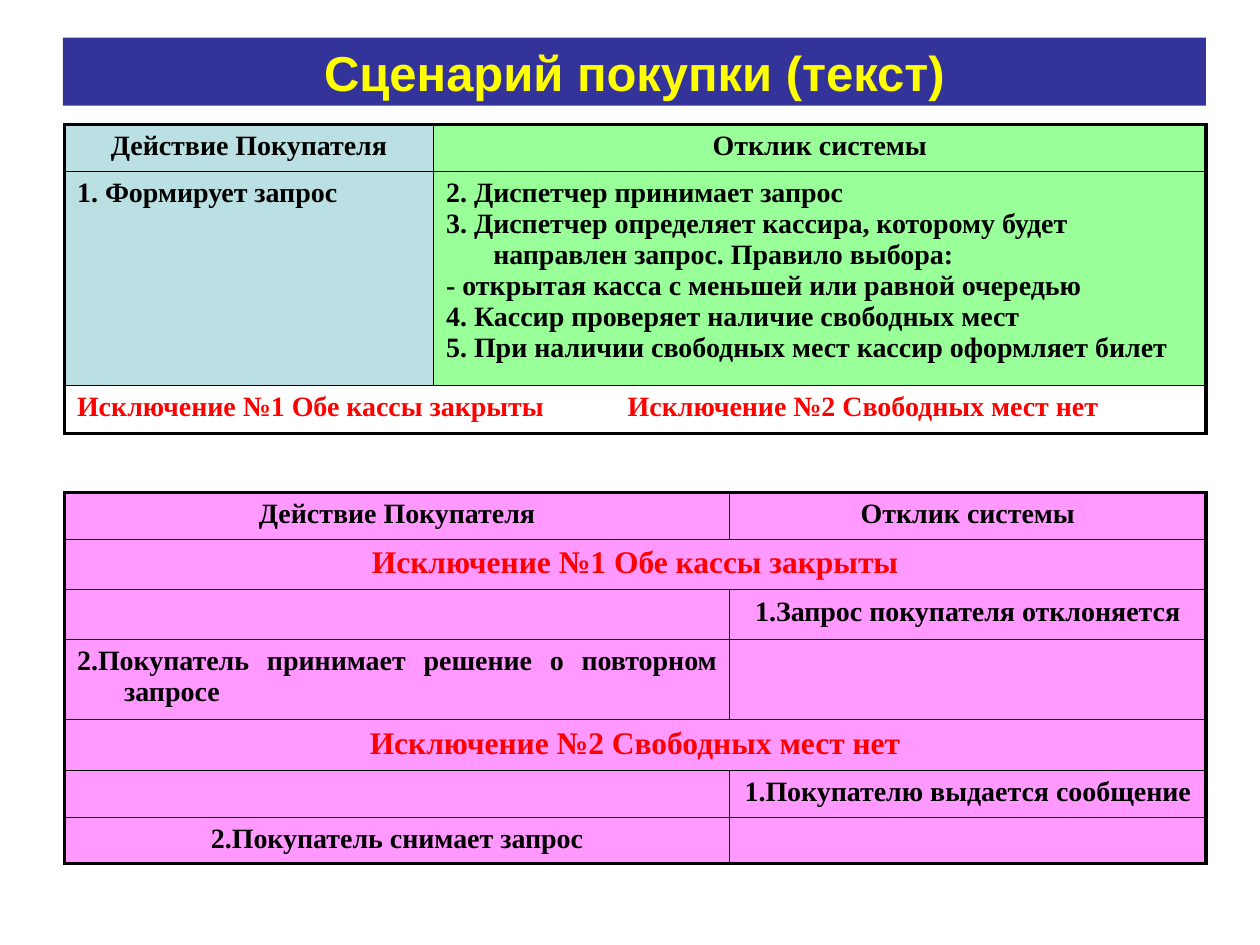
from dataclasses import dataclass

from lxml.etree import SubElement
from pptx import Presentation
from pptx.dml.color import RGBColor
from pptx.enum.shapes import MSO_SHAPE
from pptx.enum.text import MSO_ANCHOR, PP_ALIGN
from pptx.oxml.ns import qn
from pptx.util import Cm, Pt


@dataclass(frozen=True)
class Theme:
    title_font: str = "Arial"
    body_font: str = "Times New Roman"
    title_size: int = 28
    section_size: int = 18
    body_size: int = 16
    title_fill: str = "333399"
    title_text: str = "FFFF00"
    text: str = "000000"
    alert: str = "FF0000"
    border: str = "000000"
    buyer: str = "BBE0E3"
    system: str = "99FF99"
    exception: str = "FF99FF"
    outer_line: float = 2.21
    inner_line: float = 0.45


@dataclass(frozen=True)
class TextStyle:
    size: int
    color: str
    align: PP_ALIGN
    hanging: bool = False
    tab: float = 0


T = Theme()
CENTER = TextStyle(T.body_size, T.text, PP_ALIGN.CENTER)
STEP = TextStyle(T.body_size, T.text, PP_ALIGN.LEFT, hanging=True)
JUSTIFIED = TextStyle(T.body_size, T.text, PP_ALIGN.JUSTIFY, hanging=True)
ALERT = TextStyle(T.body_size, T.alert, PP_ALIGN.LEFT, tab=11.1)
SECTION = TextStyle(T.section_size, T.alert, PP_ALIGN.CENTER)
EMPTY = ("", CENTER)
HEADER = [("Действие Покупателя", CENTER), ("Отклик системы", CENTER)]


class SlideBuilder:
    def __init__(self, slide, theme):
        self.slide = slide
        self.theme = theme

    def format_run(self, r, font, size, color):
        r.font.name = font
        r.font.size = Pt(size)
        r.font.bold = True
        r.font.color.rgb = RGBColor.from_string(color)

    def title(self, text, left, top, width, height):
        t = self.theme
        sp = self.slide.shapes.add_shape(
            MSO_SHAPE.RECTANGLE, Cm(left), Cm(top), Cm(width), Cm(height))
        sp.shadow.inherit = False
        sp.fill.solid()
        sp.fill.fore_color.rgb = RGBColor.from_string(t.title_fill)
        sp.line.fill.background()
        tf = sp.text_frame
        tf.word_wrap = True
        tf.vertical_anchor = MSO_ANCHOR.MIDDLE
        tf.text = text
        p = tf.paragraphs[0]
        p.alignment = PP_ALIGN.CENTER
        self.format_run(p.runs[0], t.title_font, t.title_size, t.title_text)

    def borders(self, cell, edges):
        tcPr = cell._tc.get_or_add_tcPr()
        for side, outer in zip("LRTB", edges):
            width = self.theme.outer_line if outer else self.theme.inner_line
            ln = SubElement(tcPr, qn(f"a:ln{side}"), w=str(Pt(width)))
            fill = SubElement(ln, qn("a:solidFill"))
            SubElement(fill, qn("a:srgbClr"), val=self.theme.border)

    def cell_text(self, cell, text, style):
        cell.text_frame.text = text
        for p in cell.text_frame.paragraphs:
            p.alignment = style.align
            pPr = p._p.get_or_add_pPr()
            if style.hanging:
                pPr.set("marL", str(Cm(0.95)))
                pPr.set("indent", str(Cm(-0.95)))
            if style.tab:
                tabs = SubElement(pPr, qn("a:tabLst"))
                SubElement(tabs, qn("a:tab"), pos=str(Cm(style.tab)), algn="l")
            for r in p.runs:
                self.format_run(r, self.theme.body_font, style.size, style.color)
            if not p.runs:
                end = SubElement(p._p, qn("a:endParaRPr"), sz=str(style.size * 100))
                SubElement(end, qn("a:latin"), typeface=self.theme.body_font)

    def table(self, left, top, widths, heights, rows, fills, span_fill=None):
        n_rows, n_cols = len(heights), len(widths)
        table = self.slide.shapes.add_table(
            n_rows, n_cols, Cm(left), Cm(top), Cm(sum(widths)), Cm(sum(heights))).table
        table.first_row = table.horz_banding = False
        for column, width in zip(table.columns, widths):
            column.width = Cm(width)
        for i, (row, height) in enumerate(zip(rows, heights)):
            table.rows[i].height = Cm(height)
            merged = len(row) == 1
            if merged:
                table.cell(i, 0).merge(table.cell(i, n_cols - 1))
            for j in range(n_cols):
                cell = table.cell(i, j)
                self.borders(cell, (j == 0, merged or j == n_cols - 1,
                                    i == 0, i == n_rows - 1))
                color = span_fill if merged else fills[j]
                if color:
                    cell.fill.solid()
                    cell.fill.fore_color.rgb = RGBColor.from_string(color)
                else:
                    cell.fill.background()
            for j, (text, style) in enumerate(row):
                self.cell_text(table.cell(i, j), text, style)


def main():
    prs = Presentation()
    prs.slide_width, prs.slide_height = Cm(25.4), Cm(19.05)
    s = SlideBuilder(prs.slides.add_slide(prs.slide_layouts[6]), T)

    s.title("Сценарий покупки (текст)", 1.27, 0.76, 23.04, 1.37)

    system_steps = "\n".join([
        "2. Диспетчер принимает запрос",
        "3. Диспетчер определяет кассира, которому будет направлен запрос. Правило выбора:",
        "- открытая касса с меньшей или равной очередью",
        "4. Кассир проверяет наличие свободных мест",
        "5. При наличии свободных мест кассир оформляет билет",
    ])
    no_desks = "Исключение №1 Обе кассы закрыты"
    no_seats = "Исключение №2 Свободных мест нет"

    s.table(1.3, 2.51, [7.44, 15.57], [0.94, 4.32, 0.97], [
        HEADER,
        [("1. Формирует запрос", STEP), (system_steps, STEP)],
        [(f"{no_desks}\t{no_seats}", ALERT)],
    ], [T.buyer, T.system])

    s.table(1.3, 9.93, [13.41, 9.6], [0.94, 1.02, 0.99, 1.63, 1.02, 0.94, 0.94], [
        HEADER,
        [(no_desks, SECTION)],
        [EMPTY, ("1.Запрос покупателя отклоняется", CENTER)],
        [("2.Покупатель принимает решение о повторном запросе", JUSTIFIED), EMPTY],
        [(no_seats, SECTION)],
        [EMPTY, ("1.Покупателю выдается сообщение", CENTER)],
        [("2.Покупатель снимает запрос", CENTER), EMPTY],
    ], [T.exception] * 2, T.exception)

    prs.save("out.pptx")


if __name__ == "__main__":
    main()
